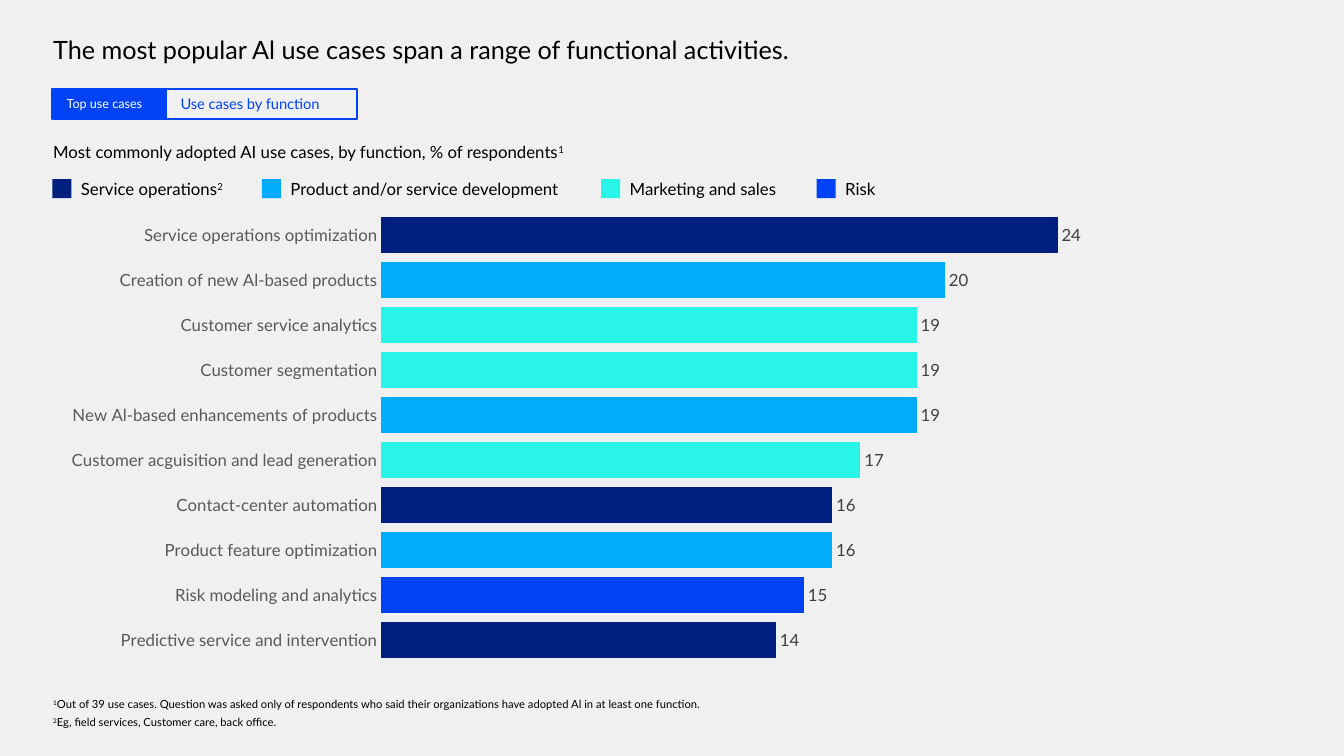
from collections import namedtuple

from lxml.etree import SubElement
from pptx import Presentation
from pptx.chart.data import CategoryChartData
from pptx.dml.color import RGBColor
from pptx.enum.chart import XL_CHART_TYPE as ChartType
from pptx.enum.chart import XL_LABEL_POSITION as LabelPosition
from pptx.enum.chart import XL_TICK_MARK as TickMark
from pptx.enum.shapes import MSO_SHAPE as Shape
from pptx.enum.text import MSO_ANCHOR as Anchor
from pptx.enum.text import MSO_AUTO_SIZE as AutoSize
from pptx.enum.text import PP_ALIGN as Align
from pptx.oxml.ns import qn
from pptx.util import Cm, Pt

Box = namedtuple("Box", "left top width height")

FONT = "Lato"
BLACK, WHITE, BLUE = "000000", "FFFFFF", "0043F6"
COLORS = {"service": "001F7E", "product": "00ACFB", "marketing": "28F4E8", "risk": BLUE}
LEGEND = [
    ("service", "Service operations", "2", 4.22),
    ("product", "Product and/or service development", "", 7.49),
    ("marketing", "Marketing and sales", "", 4.37),
    ("risk", "Risk", "", 1.27),
]
USE_CASES = [
    ("Service operations optimization", 24, "service"),
    ("Creation of new Al-based products", 20, "product"),
    ("Customer service analytics", 19, "marketing"),
    ("Customer segmentation", 19, "marketing"),
    ("New Al-based enhancements of products", 19, "product"),
    ("Customer acguisition and lead generation", 17, "marketing"),
    ("Contact-center automation", 16, "service"),
    ("Product feature optimization", 16, "product"),
    ("Risk modeling and analytics", 15, "risk"),
    ("Predictive service and intervention", 14, "service"),
]
FOOTNOTES = [
    ("1", "Out of 39 use cases. Question was asked only of respondents who said their "
          "organizations have adopted Al in at least one function.", 17.32),
    ("2", "Eg, field services, Customer care, back office.", 6.32),
]


def color(value):
    """Turn a hex string into a colour."""
    return RGBColor.from_string(value)


def style_font(font, size, ink):
    """Set the typeface, size and colour of a font."""
    font.name = FONT
    font.size = Pt(size)
    font.color.rgb = color(ink)


def add_text(page, box, parts, size, wrap=False):
    """Place one line of text made of (words, is_superscript) parts."""
    frame = page.shapes.add_textbox(*map(Cm, box)).text_frame
    frame.word_wrap = wrap
    frame.auto_size = AutoSize.SHAPE_TO_FIT_TEXT
    for words, raised in parts:
        span = frame.paragraphs[0].add_run()
        span.text = words
        style_font(span.font, size, BLACK)
        if raised:
            span._r.get_or_add_rPr().set("baseline", "30000")


def add_rectangle(page, box, fill=None, line=None):
    """Place a flat rectangle with an optional fill and outline."""
    shape = page.shapes.add_shape(Shape.RECTANGLE, *map(Cm, box))
    shape.shadow.inherit = False
    if fill:
        shape.fill.solid()
        shape.fill.fore_color.rgb = color(fill)
    else:
        shape.fill.background()
    if line:
        shape.line.color.rgb = color(line)
        shape.line.width = Pt(1.5)
    else:
        shape.line.fill.background()
    return shape


def add_tabs(page, box):
    """Place the selected tab and the open tab side by side."""
    first = 2.87
    tabs = [
        ("Top use cases", 0, first, BLUE, WHITE, 9),
        ("Use cases by function", first, box.width - first, None, BLUE, 10.5),
    ]
    for label, offset, width, fill, ink, size in tabs:
        place = Box(box.left + offset, box.top, width, box.height)
        tab = add_rectangle(page, place, fill, BLUE)
        frame = tab.text_frame
        frame.word_wrap = False
        frame.vertical_anchor = Anchor.MIDDLE
        frame.margin_left = Cm(0.36)
        frame.margin_top = frame.margin_bottom = Cm(0)
        para = frame.paragraphs[0]
        para.text = label
        para.alignment = Align.LEFT
        style_font(para.runs[0].font, size, ink)


def add_legend(page, box):
    """Place the colour key as a row of swatches and labels."""
    swatch, indent, gap = 0.48, 0.47, 0.59
    left = box.left
    for key, label, note, width in LEGEND:
        top = box.top + (box.height - swatch) / 2
        add_rectangle(page, Box(left, top, swatch, swatch), COLORS[key])
        parts = [(label, False)] + ([(note, True)] if note else [])
        add_text(page, Box(left + indent, box.top, width, box.height), parts, 12)
        left += indent + width + gap


def set_plot_layout(chart, **fractions):
    """Fix the inner plot area as fractions of the chart."""
    plot_area = chart._chartSpace.chart.plotArea
    layout = plot_area.find(qn("c:layout"))
    if layout is None:
        layout = SubElement(plot_area, qn("c:layout"))
        plot_area.insert(0, layout)
    manual = SubElement(layout, qn("c:manualLayout"))
    settings = {"layoutTarget": "inner", "xMode": "edge", "yMode": "edge", **fractions}
    for name, value in settings.items():
        SubElement(manual, qn(f"c:{name}")).set("val", str(value))


def add_use_case_chart(page, box):
    """Place the ranked bar chart, each bar coloured by function."""
    data = CategoryChartData()
    data.categories = [name for name, _, _ in USE_CASES]
    data.add_series("Series 1", [share for _, share, _ in USE_CASES])
    chart = page.shapes.add_chart(ChartType.BAR_CLUSTERED, *map(Cm, box), data).chart
    chart.has_legend = False
    chart.has_title = False
    style_font(chart.font, 12, BLACK)
    set_plot_layout(chart, x=0.277, y=0.021, w=0.703, h=0.96)

    names = chart.category_axis
    names.reverse_order = True
    names.major_tick_mark = TickMark.NONE
    names.format.line.fill.background()
    style_font(names.tick_labels.font, 12, "595959")

    scale = chart.value_axis
    scale.minimum_scale, scale.maximum_scale = 0, 30
    scale.has_major_gridlines = False
    scale.visible = False

    plot = chart.plots[0]
    plot.gap_width = 28
    plot.vary_by_categories = False
    series = plot.series[0]
    series.format.fill.solid()
    series.format.fill.fore_color.rgb = color("156082")
    for index, (_, _, key) in enumerate(USE_CASES):
        fill = series.points[index].format.fill
        fill.solid()
        fill.fore_color.rgb = color(COLORS[key])
    labels = series.data_labels
    labels.show_value = True
    labels.position = LabelPosition.OUTSIDE_END
    style_font(labels.font, 12, "404040")


def add_footnotes(page, box):
    """Stack the numbered footnotes."""
    for index, (mark, words, width) in enumerate(FOOTNOTES):
        place = Box(box.left, box.top + index * 0.46, width, 0.61)
        add_text(page, place, [(mark, True), (words, False)], 8)


def main():
    """Build the slide and save it."""
    deck = Presentation()
    deck.slide_width, deck.slide_height = Cm(33.87), Cm(19.05)
    page = deck.slides.add_slide(deck.slide_layouts[6])
    page.background.fill.solid()
    page.background.fill.fore_color.rgb = color("F0F0F0")

    title = "The most popular Al use cases span a range of functional activities."
    add_text(page, Box(1.09, 0.74, 31.04, 1.02), [(title, False)], 18, wrap=True)
    add_tabs(page, Box(1.32, 2.24, 7.67, 0.76))
    subtitle = "Most commonly adopted AI use cases, by function, % of respondents"
    add_text(page, Box(1.09, 3.45, 16.28, 0.77), [(subtitle, False), ("1", True)], 12, wrap=True)
    add_use_case_chart(page, Box(1.22, 5.11, 30.3, 11.81))
    add_legend(page, Box(1.32, 4.37, 21, 0.77))
    add_footnotes(page, Box(1.09, 17.45, 17.32, 1.07))
    deck.save("out.pptx")


if __name__ == "__main__":
    main()
